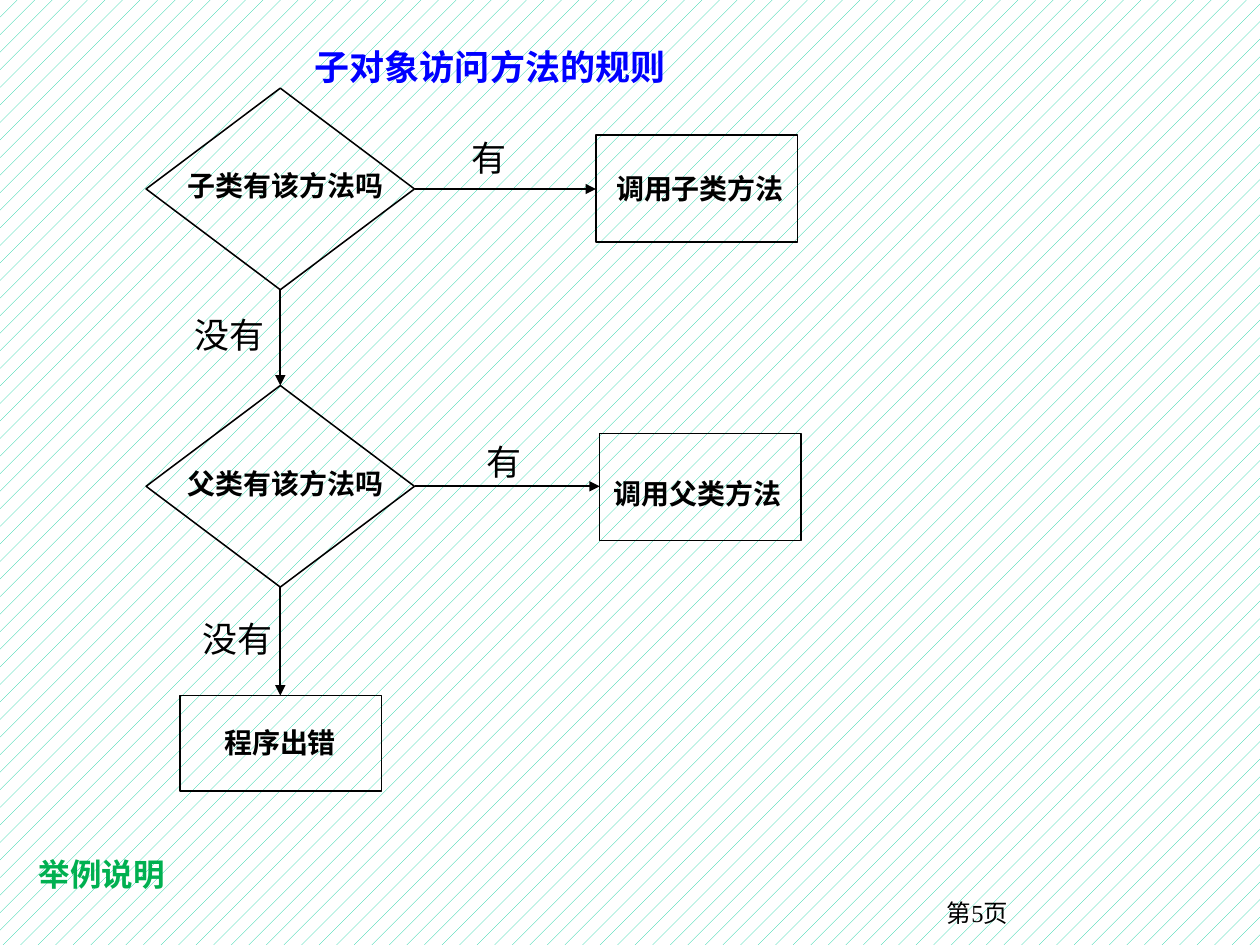
from dataclasses import dataclass

from lxml.etree import SubElement
from pptx import Presentation
from pptx.dml.color import RGBColor
from pptx.enum.dml import MSO_PATTERN
from pptx.enum.shapes import MSO_CONNECTOR, MSO_SHAPE
from pptx.enum.text import MSO_AUTO_SIZE, PP_ALIGN
from pptx.oxml.ns import qn
from pptx.slide import Slide
from pptx.util import Inches, Length, Pt


@dataclass(frozen=True)
class Theme:
    cjk: str = "Noto Sans CJK SC"
    serif: str = "Times New Roman"
    ink: str = "000000"
    title: str = "0000FF"
    note: str = "00B050"
    hatch: str = "00CC99"
    paper: str = "FFFFFF"
    node_size: int = 16
    label_size: int = 20
    note_size: int = 18
    page_size: int = 14
    outline: float = 0.88
    arrow: float = 1.13
    thin_arrow: float = 1


THEME = Theme()
WIDTH, HEIGHT = Inches(10), Inches(7.5)
COLUMNS, ROWS = 100, 75


@dataclass(frozen=True)
class Caption:
    text: str
    left: float
    top: float
    width: float
    height: float
    size: int = THEME.node_size
    bold: bool = True
    color: str = THEME.ink
    font: str = THEME.cjk
    align: PP_ALIGN = PP_ALIGN.LEFT
    padded: bool = False
    wrap: bool = False


@dataclass(frozen=True)
class Node:
    kind: MSO_SHAPE
    left: float
    top: float
    width: float
    height: float
    caption: Caption

    @property
    def center(self) -> float:
        return self.left + self.width / 2

    @property
    def middle(self) -> float:
        return self.top + self.height / 2


@dataclass(frozen=True)
class Arrow:
    start: Node
    end: Node
    downward: bool
    weight: float = THEME.arrow


def col(units: float) -> Length:
    return Length(round(WIDTH * units / COLUMNS))


def row(units: float) -> Length:
    return Length(round(HEIGHT * units / ROWS))


def rgb(value: str) -> RGBColor:
    return RGBColor.from_string(value)


def draw_caption(page: Slide, item: Caption) -> None:
    box = page.shapes.add_textbox(
        col(item.left), row(item.top), col(item.width), row(item.height))
    frame = box.text_frame
    frame.word_wrap = item.wrap
    if not item.wrap:
        frame.auto_size = MSO_AUTO_SIZE.SHAPE_TO_FIT_TEXT
    if not item.padded:
        frame.margin_left = frame.margin_right = 0
        frame.margin_top = frame.margin_bottom = 0
    para = frame.paragraphs[0]
    para.text = item.text
    para.alignment = item.align
    para.font.size = Pt(item.size)
    para.font.bold = item.bold
    para.font.color.rgb = rgb(item.color)
    para.font.name = item.font
    # East Asian typeface
    defaults = para._p.pPr.find(qn("a:defRPr"))
    SubElement(defaults, qn("a:ea")).set("typeface", THEME.cjk)


def draw_node(page: Slide, node: Node) -> None:
    shape = page.shapes.add_shape(
        node.kind, col(node.left), row(node.top), col(node.width), row(node.height))
    shape.shadow.inherit = False
    shape.fill.background()
    shape.line.color.rgb = rgb(THEME.ink)
    shape.line.width = Pt(THEME.outline)
    draw_caption(page, node.caption)


def draw_arrow(page: Slide, arrow: Arrow) -> None:
    start, end = arrow.start, arrow.end
    if arrow.downward:
        points = (col(start.center), row(start.top + start.height),
                  col(start.center), row(end.top))
    else:
        points = (col(start.left + start.width), row(start.middle),
                  col(end.left), row(start.middle))
    line = page.shapes.add_connector(MSO_CONNECTOR.STRAIGHT, *points)
    line.line.color.rgb = rgb(THEME.ink)
    line.line.width = Pt(arrow.weight)
    SubElement(line.line._get_or_add_ln(), qn("a:tailEnd")).set("type", "triangle")
    SubElement(line._element.spPr, qn("a:effectLst"))


def question(text: str, top: float) -> Node:
    return Node(MSO_SHAPE.DIAMOND, 11.6, top, 21.3, 16,
                Caption(text, 14.9, top + 6.4, 15.7, 2.7))


def call(text: str, left: float, top: float, text_left: float, text_top: float) -> Node:
    return Node(MSO_SHAPE.RECTANGLE, left, top, 16, 8.5,
                Caption(text, text_left, text_top, 13.5, 2.7))


def label(text: str, left: float, top: float) -> Caption:
    return Caption(text, left, top, 2.8 * len(text), 3.4, THEME.label_size, bold=False)


# Flowchart content
child_question = question("子类有该方法吗", 7)
parent_question = question("父类有该方法吗", 30.6)
child_call = call("调用子类方法", 47.3, 10.7, 48.9, 13.6)
parent_call = call("调用父类方法", 47.6, 34.4, 48.7, 37.8)
failure = Node(MSO_SHAPE.RECTANGLE, 14.3, 55.2, 16, 7.6,
               Caption("程序出错", 17.8, 57.6, 9, 2.7))

NODES = (failure, child_question, parent_question, parent_call, child_call)
ARROWS = (
    Arrow(child_question, parent_question, downward=True),
    Arrow(parent_question, failure, downward=True),
    Arrow(child_question, child_call, downward=False),
    Arrow(parent_question, parent_call, downward=False, weight=THEME.thin_arrow),
)
CAPTIONS = (
    label("有", 37.4, 10.8),
    label("有", 38.6, 35),
    label("没有", 15.4, 24.9),
    label("没有", 16.1, 49),
    Caption("子对象访问方法的规则", 24, 3.1, 30.2, 4.4, THEME.label_size,
            color=THEME.title, padded=True),
    Caption("举例说明", 2.1, 67.4, 12.1, 4, THEME.note_size,
            color=THEME.note, align=PP_ALIGN.JUSTIFY, padded=True),
    Caption("第5页", 60.2, 70.8, 20.8, 3.7, THEME.page_size, bold=False,
            font=THEME.serif, align=PP_ALIGN.RIGHT, padded=True, wrap=True),
)

# Deck and patterned background
deck = Presentation()
deck.slide_width, deck.slide_height = WIDTH, HEIGHT
page = deck.slides.add_slide(deck.slide_layouts[6])
backdrop = page.background.fill
backdrop.patterned()
backdrop.pattern = MSO_PATTERN.PERCENT_5
backdrop.fore_color.rgb = rgb(THEME.hatch)
backdrop.back_color.rgb = rgb(THEME.paper)

# Drawing
for node in NODES:
    draw_node(page, node)
for arrow in ARROWS:
    draw_arrow(page, arrow)
for caption in CAPTIONS:
    draw_caption(page, caption)

deck.save("out.pptx")
